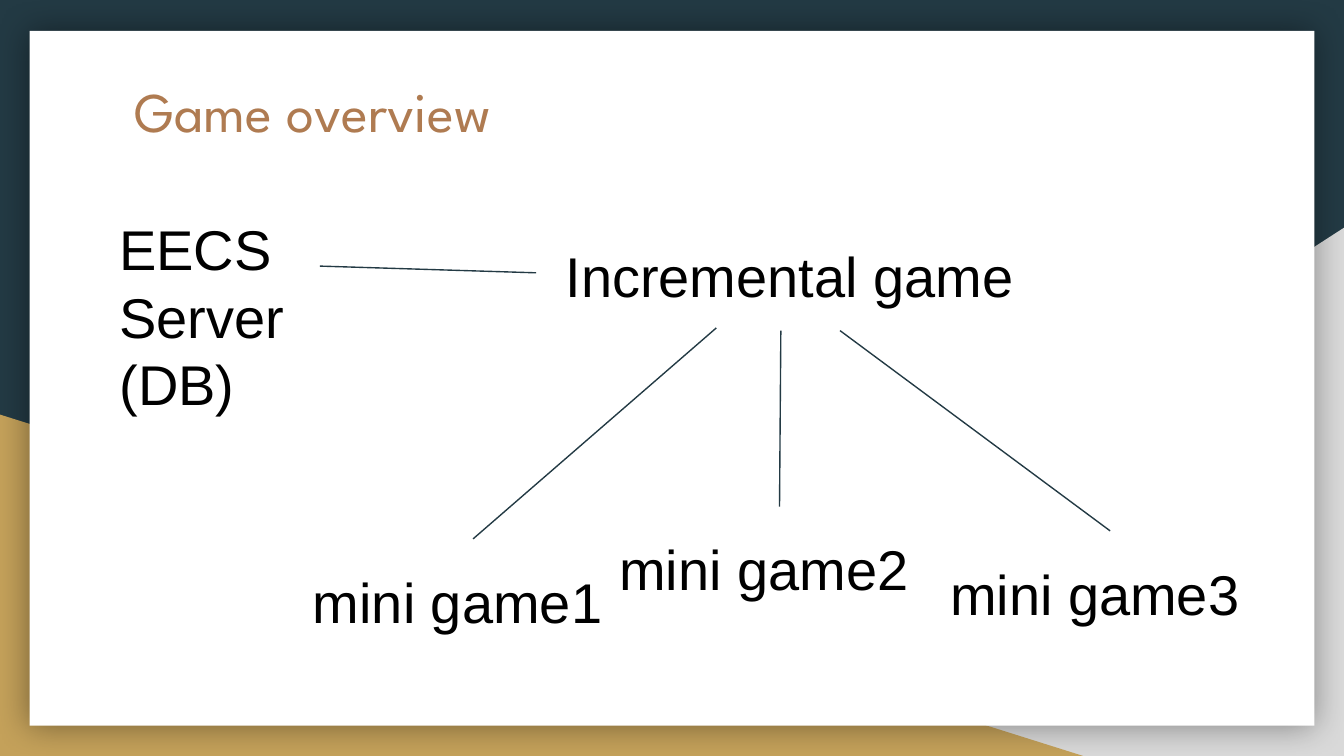
from lxml.etree import SubElement
from pptx import Presentation
from pptx.dml.color import RGBColor
from pptx.enum.shapes import MSO_CONNECTOR, MSO_SHAPE
from pptx.enum.text import MSO_ANCHOR, PP_ALIGN
from pptx.oxml import parse_xml
from pptx.oxml.ns import nsdecls, qn
from pptx.util import Inches, Pt

NAVY = RGBColor(0x23, 0x3A, 0x44)
GREY = RGBColor(0xD9, 0xD9, 0xD9)
GOLD = RGBColor(0xC4, 0xA1, 0x5A)
WHITE = RGBColor(0xFF, 0xFF, 0xFF)
BROWN = RGBColor(0xAF, 0x7B, 0x51)
BLACK = RGBColor(0, 0, 0)


def write(shape, lines, anchor, face, color):
    """Fill a text shape with one paragraph per line."""
    frame = shape.text_frame
    frame.word_wrap = True
    frame.vertical_anchor = anchor
    frame.margin_left = frame.margin_right = Inches(0.1)
    frame.margin_top = frame.margin_bottom = Inches(0.1)
    frame.text = "\n".join(lines)
    for para in frame.paragraphs:
        para.alignment = PP_ALIGN.LEFT
        para.font.name = face
        para.font.size = Pt(30)
        para.font.color.rgb = color


deck = Presentation()
deck.slide_width = Inches(10)
deck.slide_height = deck.slide_width * 9 // 16
slide = deck.slides.add_slide(deck.slide_layouts[5])
slide.background.fill.solid()
slide.background.fill.fore_color.rgb = NAVY
shapes = slide.shapes

# Backdrop: two corner triangles under a white card
backdrop = [
    (MSO_SHAPE.RIGHT_TRIANGLE, (3.92, 1.7, 6.08, 3.93), GREY),
    (MSO_SHAPE.RIGHT_TRIANGLE, (0, 3.09, 8.06, 2.54), GOLD),
    (MSO_SHAPE.RECTANGLE, (0.22, 0.23, 9.56, 5.17), WHITE),
]
parts = []
for kind, box, color in backdrop:
    part = shapes.add_shape(kind, *map(Inches, box))
    part.shadow.inherit = False
    part.fill.solid()
    part.fill.fore_color.rgb = color
    part.line.fill.background()
    parts.append(part)
right, left, card = parts
for corner in (right, left):
    corner.top = deck.slide_height - corner.height
right._element.spPr.xfrm.set("flipH", "1")
glow = card._element.spPr.find(qn("a:effectLst"))
glow.append(parse_xml(
    f'<a:outerShdw {nsdecls("a")} blurRad="{Pt(18)}" algn="ctr" rotWithShape="0">'
    '<a:srgbClr val="000000"><a:alpha val="40000"/></a:srgbClr></a:outerShdw>'))

# Title, raised above the backdrop
title = shapes.title
title.left, title.top = Inches(0.9), Inches(0.47)
title.width, title.height = Inches(8.21), Inches(0.63)
write(title, ["Game overview"], MSO_ANCHOR.TOP, "League Spartan", BROWN)
card._element.addnext(title._element)

# Labels
labels = [
    (["EECS", "Server", "(DB)"], (0.79, 1.5, 1.74, 0.76), MSO_ANCHOR.TOP),
    (["Incremental game"], (4.11, 1.5, 3.67, 1.1), MSO_ANCHOR.MIDDLE),
    (["mini game1"], (2.23, 4.01, 2.58, 0.92), MSO_ANCHOR.MIDDLE),
    (["mini game2"], (4.51, 3.77, 2.58, 0.92), MSO_ANCHOR.MIDDLE),
    (["mini game3"], (6.97, 3.95, 2.58, 0.92), MSO_ANCHOR.MIDDLE),
]
for lines, box, anchor in labels:
    label = shapes.add_textbox(*map(Inches, box))
    write(label, lines, anchor, "Arial", BLACK)

# Links: server to game, then game to each mini game
links = [
    (2.38, 1.98, 3.99, 2.03),
    (5.33, 2.44, 3.52, 4.01),
    (5.81, 2.46, 5.8, 3.77),
    (6.25, 2.46, 8.26, 3.95),
]
for ends in links:
    link = shapes.add_connector(MSO_CONNECTOR.STRAIGHT, *map(Inches, ends))
    link.line.color.rgb = NAVY
    link.line.width = Pt(0.75)
    SubElement(link._element.spPr, qn("a:effectLst"))

deck.save("out.pptx")
